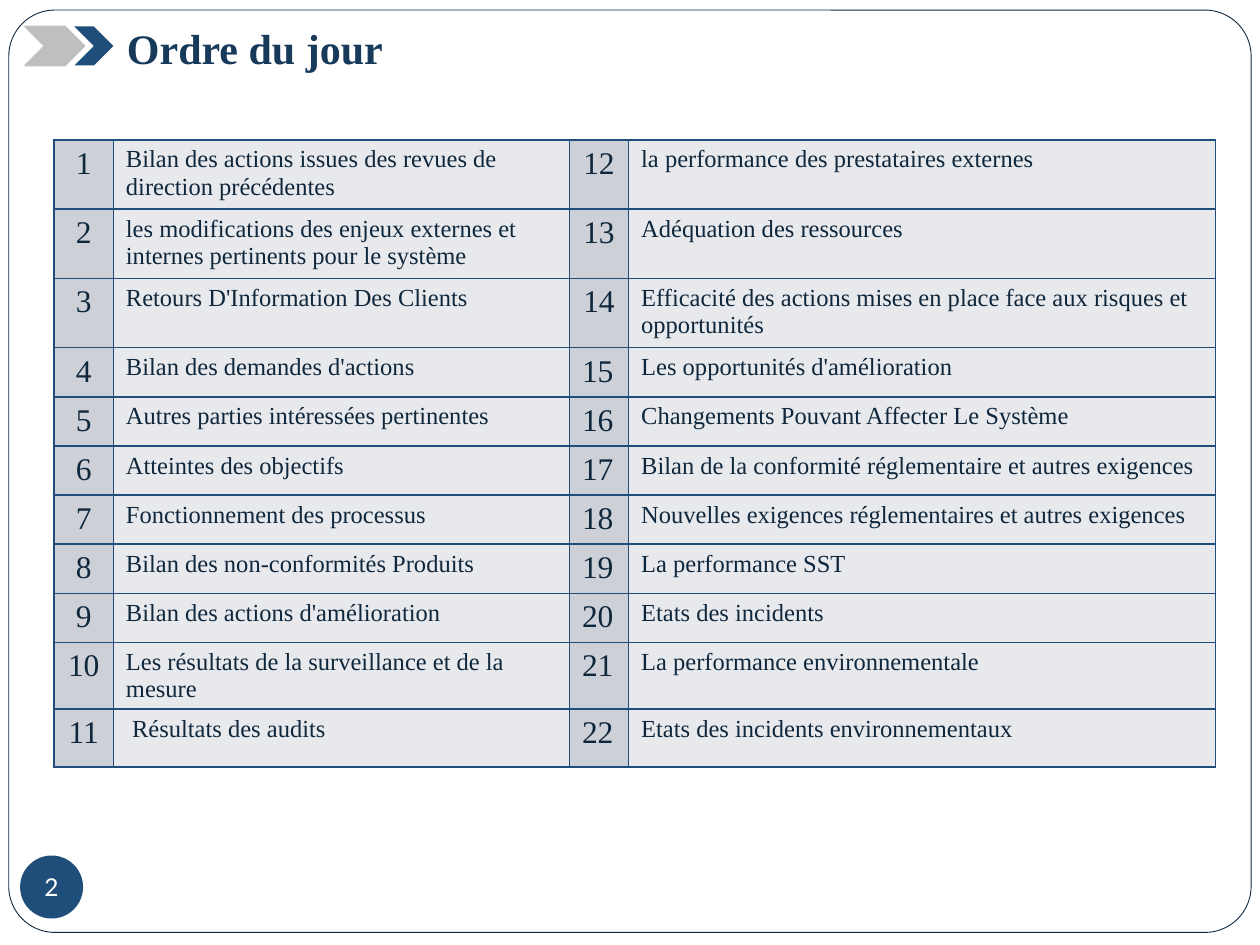
from lxml.etree import SubElement
from pptx import Presentation
from pptx.dml.color import RGBColor
from pptx.enum.shapes import MSO_SHAPE as SHAPE
from pptx.enum.text import MSO_ANCHOR as ANCHOR, MSO_AUTO_SIZE as AUTO, PP_ALIGN as ALIGN
from pptx.oxml.ns import qn
from pptx.util import Pt

PX = 9144  # EMU per px, 100 px to the inch
SERIF = "Times New Roman"
COLORS = {
    "white": "FFFFFF", "ink": "0F273C", "title": "173A5B", "blue": "1E4E79",
    "grey": "BFBFBF", "number": "CDD0D7", "topic": "E8E9EC",
}
TOPICS = [
    "Bilan des actions issues des revues de direction précédentes",
    "les modifications des enjeux externes et internes pertinents pour le système",
    "Retours D'Information Des Clients",
    "Bilan des demandes d'actions",
    "Autres parties intéressées pertinentes",
    "Atteintes des objectifs",
    "Fonctionnement des processus",
    "Bilan des non-conformités Produits",
    "Bilan des actions d'amélioration",
    "Les résultats de la surveillance et de la mesure",
    " Résultats des audits",
    "la performance des prestataires externes",
    "Adéquation des ressources",
    "Efficacité des actions mises en place face aux risques et opportunités",
    "Les opportunités d'amélioration",
    "Changements Pouvant Affecter Le Système",
    "Bilan de la conformité réglementaire et autres exigences",
    "Nouvelles exigences réglementaires et autres exigences",
    "La performance SST",
    "Etats des incidents",
    "La performance environnementale",
    "Etats des incidents environnementaux",
]
COL_WIDTHS = [47, 362, 47, 466]
ROW_HEIGHTS = [55] * 3 + [39] * 7 + [46]


def rgb(name):
    return RGBColor.from_string(COLORS[name])


def emu(*lengths):
    return [n * PX for n in lengths]


def add_shape(slide, kind, box, fill, line=None, width=1):
    sp = slide.shapes.add_shape(kind, *emu(*box))
    sp.shadow.inherit = False
    sp.fill.solid()
    sp.fill.fore_color.rgb = rgb(fill)
    if line:
        sp.line.color.rgb = rgb(line)
        sp.line.width = Pt(width)
    else:
        sp.line.fill.background()
    return sp


def write(tf, text, size, color, font=SERIF, align=ALIGN.LEFT, bold=False):
    p = tf.paragraphs[0]
    p.text = text
    p.alignment = align
    p.font.size = Pt(size)
    p.font.name = font
    p.font.bold = bold
    p.font.color.rgb = rgb(color)


def set_borders(cell, color, width):
    tc_pr = cell._tc.get_or_add_tcPr()
    for side in ("lnL", "lnR", "lnT", "lnB"):
        ln = SubElement(tc_pr, qn(f"a:{side}"), w=str(Pt(width)))
        fill = SubElement(ln, qn("a:solidFill"))
        SubElement(fill, qn("a:srgbClr"), val=COLORS[color])


def add_frame(slide, box):
    sp = add_shape(slide, SHAPE.ROUNDED_RECTANGLE, box, "white", "ink", 0.5)
    sp.adjustments[0] = 0.05


def add_header(slide, box):
    x, y, w, h = box
    # Double chevron
    add_shape(slide, SHAPE.CHEVRON, (x, y + 8, 47, 31), "grey", "grey")
    add_shape(slide, SHAPE.CHEVRON, (x + 39, y + 8, 31, 31), "blue")
    # Title
    tf = slide.shapes.add_textbox(*emu(x + 71, y, w - 71, h)).text_frame
    tf.word_wrap = True
    tf.auto_size = AUTO.SHAPE_TO_FIT_TEXT
    write(tf, "Ordre du jour", 24, "title", bold=True)


def add_agenda(slide, box):
    n_rows = len(ROW_HEIGHTS)
    table = slide.shapes.add_table(n_rows, len(COL_WIDTHS), *emu(*box)).table
    table.first_row = table.horz_banding = False
    for col, width in zip(table.columns, COL_WIDTHS):
        col.width = width * PX
    for row, height in zip(table.rows, ROW_HEIGHTS):
        row.height = height * PX

    # Each topic fills a number cell and a text cell, in two column pairs
    for i, topic in enumerate(TOPICS):
        pair, row = divmod(i, n_rows)
        number, label = (table.cell(row, 2 * pair + c) for c in (0, 1))
        for cell, fill in ((number, "number"), (label, "topic")):
            set_borders(cell, "blue", 1)
            cell.fill.solid()
            cell.fill.fore_color.rgb = rgb(fill)
        align = ALIGN.CENTER if i < 14 else ALIGN.LEFT
        write(number.text_frame, str(i + 1), 18, "ink", align=align)
        write(label.text_frame, topic, 14, "ink")


def add_page_number(slide, box):
    tf = add_shape(slide, SHAPE.OVAL, box, "blue").text_frame
    tf.margin_left = tf.margin_right = tf.margin_top = tf.margin_bottom = 0
    tf.word_wrap = False
    tf.vertical_anchor = ANCHOR.MIDDLE
    write(tf, "2", 14, "white", "Lato", ALIGN.CENTER)


def main():
    prs = Presentation()
    prs.slide_width, prs.slide_height = emu(1000, 750)
    slide = prs.slides.add_slide(prs.slide_layouts[6])
    add_frame(slide, (7, 8, 986, 732))
    add_agenda(slide, (43, 111, sum(COL_WIDTHS), sum(ROW_HEIGHTS)))
    add_header(slide, (20, 13, 354, 50))
    add_page_number(slide, (16, 679, 50, 50))
    prs.save("out.pptx")


if __name__ == "__main__":
    main()
